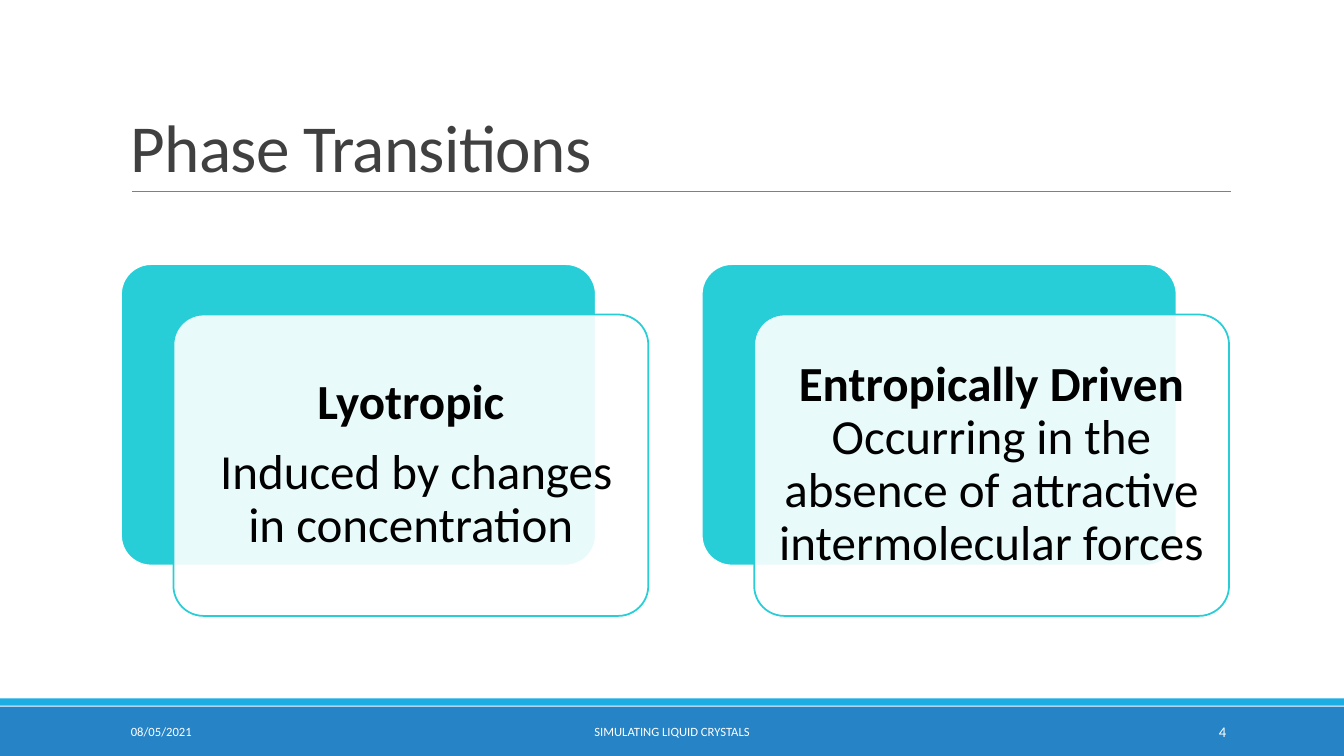
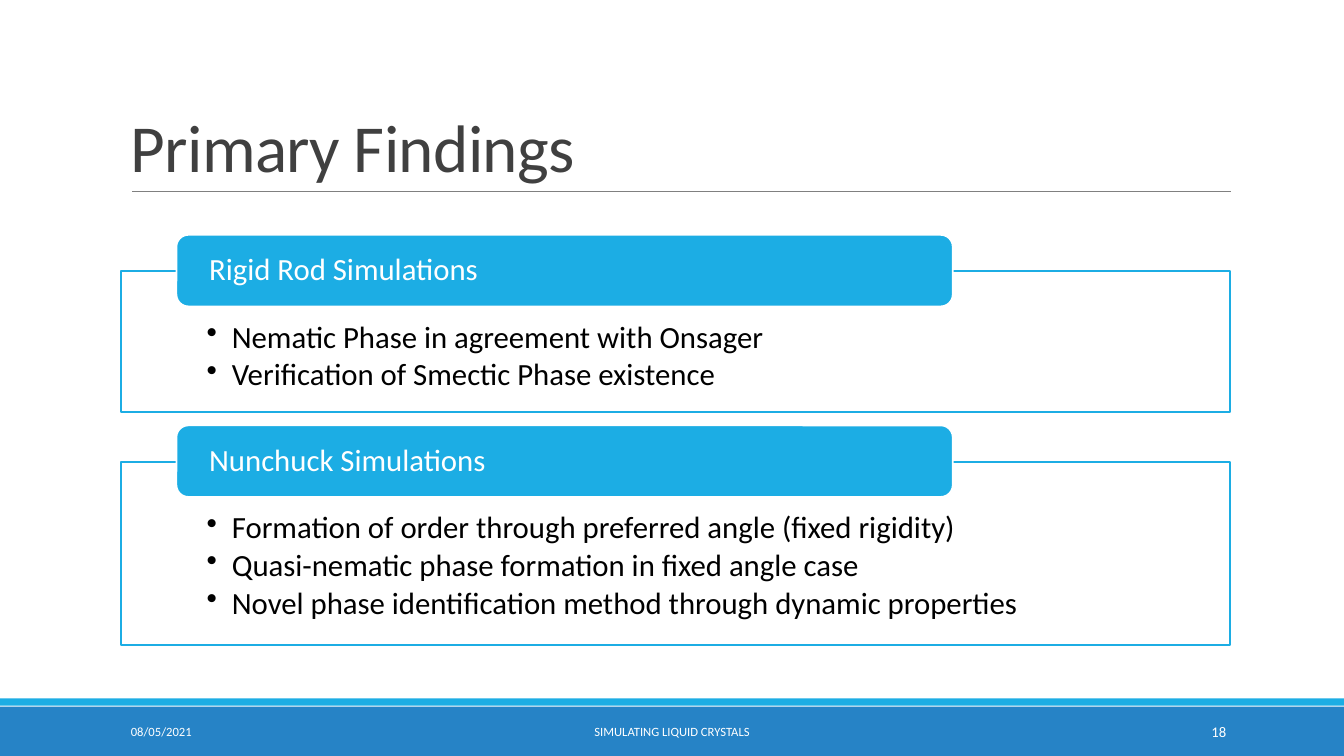
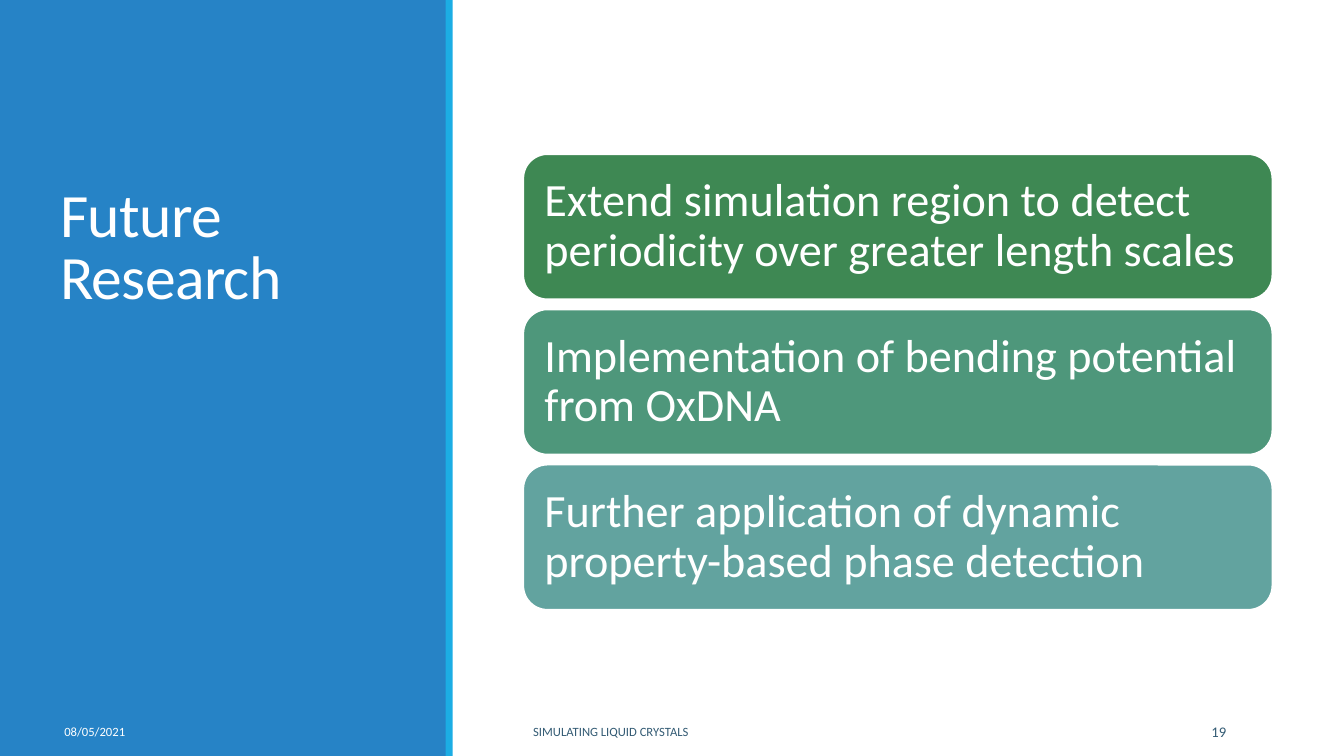
from dataclasses import dataclass

from lxml import etree
from pptx import Presentation
from pptx.dml.color import RGBColor
from pptx.enum import shapes, text
from pptx.oxml import ns
from pptx.util import Inches, Pt

# Shared look
FONT = "Calibri"
WHITE, BLACK, GRAY, DARK = "FFFFFF", "000000", "808080", "404040"
BLUE, SKY, TEAL, NAVY = "2683C6", "1CADE4", "27CED7", "335B74"
WIDTH, HEIGHT = 13.33, 7.5
DATE, FOOTER = "08/05/2021", "SIMULATING LIQUID CRYSTALS"
RECT = shapes.MSO_SHAPE.RECTANGLE
ROUND = shapes.MSO_SHAPE.ROUNDED_RECTANGLE
LEFT, CENTER, RIGHT = text.PP_ALIGN.LEFT, text.PP_ALIGN.CENTER, text.PP_ALIGN.RIGHT
TOP, MIDDLE, BOTTOM = text.MSO_ANCHOR.TOP, text.MSO_ANCHOR.MIDDLE, text.MSO_ANCHOR.BOTTOM


@dataclass
class Run:
    text: str
    bold: bool = False


@dataclass
class Card:
    paragraphs: list[list[Run]]


@dataclass
class Finding:
    heading: str
    points: list[str]
    height: float


@dataclass
class Goal:
    text: str
    color: str


@dataclass
class FooterField:
    text: str
    left: float
    width: float
    color: str = WHITE
    align: int = LEFT
    size: float = 9


def rgb(color: str) -> RGBColor:
    return RGBColor.from_string(color)


def write(sp, paragraphs, *, size, color, align=LEFT, anchor=MIDDLE, spacing=1.0,
          after=0.0, insets=(0.1, 0.05, 0.1, 0.05), tracking=0, bullet="") -> None:
    """Fill a shape with paragraphs, each a plain string or a list of runs."""
    tf = sp.text_frame
    tf.word_wrap = True
    tf.vertical_anchor = anchor
    tf.margin_left, tf.margin_top, tf.margin_right, tf.margin_bottom = map(Inches, insets)
    for i, content in enumerate(paragraphs):
        p = tf.add_paragraph() if i else tf.paragraphs[0]
        p.alignment, p.line_spacing, p.space_after = align, spacing, Pt(after)
        if bullet:
            pPr = p._p.get_or_add_pPr()
            pPr.set("marL", str(Inches(0.25)))
            pPr.set("indent", str(Inches(-0.25)))
            etree.SubElement(pPr, ns.qn("a:buChar")).set("char", bullet)
        for run in [Run(content)] if isinstance(content, str) else content:
            r = p.add_run()
            r.text = run.text
            r.font.name, r.font.size, r.font.bold = FONT, Pt(size), run.bold
            r.font.color.rgb = rgb(color)
            if tracking:
                r._r.get_or_add_rPr().set("spc", str(tracking))


def add_box(slide, kind, left, top, width, height, fill, line="", alpha=100, radius=None):
    sp = slide.shapes.add_shape(kind, *map(Inches, (left, top, width, height)))
    sp.shadow.inherit = False
    sp.fill.solid()
    sp.fill.fore_color.rgb = rgb(fill)
    if alpha < 100:
        clr = sp.fill._xPr.find(".//" + ns.qn("a:srgbClr"))
        etree.SubElement(clr, ns.qn("a:alpha")).set("val", str(alpha * 1000))
    if line:
        sp.line.color.rgb = rgb(line)
        sp.line.width = Pt(1.25)
    else:
        sp.line.fill.background()
    if radius is not None:
        sp.adjustments[0] = radius
    return sp


def add_text(slide, content, left, top, width, height, **fmt) -> None:
    sp = slide.shapes.add_textbox(*map(Inches, (left, top, width, height)))
    write(sp, [content], **fmt)


def add_title(slide, title, left, top, width, height, size, color) -> None:
    add_text(slide, title, left, top, width, height, size=size, color=color,
             anchor=BOTTOM, spacing=0.85, tracking=-50)


def add_footer(slide, fields: list[FooterField]) -> None:
    for f in fields:
        add_text(slide, f.text, f.left, 7.06, f.width, 0.4, size=f.size,
                 color=f.color, align=f.align, after=6)


def add_content_slide(prs, title: str, number: int):
    """Slide with a ruled title, bottom bands and a footer."""
    slide = prs.slides.add_slide(prs.slide_layouts[6])
    add_box(slide, RECT, 0, 7.01, WIDTH, 0.49, BLUE)
    add_box(slide, RECT, 0, 6.93, WIDTH, 0.07, SKY)
    rule = slide.shapes.add_connector(
        shapes.MSO_CONNECTOR.STRAIGHT, *map(Inches, (1.31, 1.9, 12.21, 1.9)))
    rule.line.color.rgb = rgb(GRAY)
    rule.line.width = Pt(0.5)
    etree.SubElement(rule._element.spPr, ns.qn("a:effectLst"))
    add_title(slide, title, 1.2, 0.31, 11, 1.59, 48, DARK)
    add_footer(slide, [
        FooterField(DATE, 1.2, 2.7),
        FooterField(FOOTER, 4.03, 5.27, align=CENTER),
        FooterField(str(number), 10.83, 1.43, align=RIGHT, size=10.5),
    ])
    return slide


# Slide: two overlapping card pairs
def phase_transitions(prs) -> None:
    slide = add_content_slide(prs, "Phase Transitions", 4)
    cards = [
        Card([[Run("Lyotropic", True)], [Run(" Induced by changes in concentration")]]),
        Card([[Run("Entropically Driven", True),
               Run(" Occurring in the absence of attractive intermolecular forces")]]),
    ]
    width, height, pitch = 4.71, 2.99, 5.76
    for i, card in enumerate(cards):
        left, top = 1.2 + i * pitch, 2.62
        add_box(slide, ROUND, left, top, width, height, TEAL, WHITE, radius=0.1)
        front = add_box(slide, ROUND, left + 0.52, top + 0.5, width, height, WHITE, TEAL,
                        alpha=90, radius=0.1)
        write(front, card.paragraphs, size=35, color=BLACK, align=CENTER, spacing=0.9,
              after=12.25, insets=(0.15,) * 4)


# Slide: framed bullet lists with heading tabs
def primary_findings(prs) -> None:
    slide = add_content_slide(prs, "Primary Findings", 18)
    findings = [
        Finding("Rigid Rod Simulations",
                ["Nematic Phase in agreement with Onsager",
                 "Verification of Smectic Phase existence"], 1.4),
        Finding("Nunchuck Simulations",
                ["Formation of order through preferred angle (fixed rigidity)",
                 "Quasi-nematic phase formation in fixed angle case",
                 "Novel phase identification method through dynamic properties"], 1.82),
    ]
    top, overlap, gap = 2.33, 0.36, 0.13
    for f in findings:
        frame = add_box(slide, RECT, 1.2, top + overlap, 11, f.height, WHITE, SKY, alpha=90)
        write(frame, f.points, size=22, color=BLACK, anchor=TOP, spacing=0.9, after=3.3,
              insets=(0.85, 0.5, 0.85, 0.17), bullet="•")
        tab = add_box(slide, ROUND, 1.75, top, 7.7, 0.71, SKY, WHITE)
        write(tab, [f.heading], size=22, color=WHITE, spacing=0.9, after=7.7,
              insets=(0.29, 0, 0.29, 0))
        top += overlap + f.height + gap


# Slide: side panel with stacked goals
def future_research(prs) -> None:
    slide = prs.slides.add_slide(prs.slide_layouts[6])
    add_box(slide, RECT, 0, 0, 4.43, HEIGHT, BLUE)
    add_box(slide, RECT, 4.42, 0, 0.07, HEIGHT, SKY)
    add_title(slide, "Future Research", 0.5, 0.65, 3.5, 2.5, 44, WHITE)
    add_footer(slide, [
        FooterField(DATE, 0.54, 1.9),
        FooterField(FOOTER, 5.19, 5.58, NAVY),
        FooterField("19", 11.07, 1.19, NAVY, RIGHT, 10.5),
    ])
    goals = [
        Goal("Extend simulation region to detect periodicity over greater length scales",
             "3E8853"),
        Goal("Implementation of bending potential from OxDNA", "4E977B"),
        Goal("Further application of dynamic property-based phase detection", "62A39F"),
    ]
    height, gap = 1.44, 0.1
    for i, goal in enumerate(goals):
        sp = add_box(slide, ROUND, 5.19, 1.53 + i * (height + gap), 7.43, height,
                     goal.color, WHITE)
        write(sp, [goal.text], size=33, color=WHITE, spacing=0.9, after=11.55,
              insets=(0.14,) * 4)


def main() -> None:
    prs = Presentation()
    prs.slide_width, prs.slide_height = Inches(WIDTH), Inches(HEIGHT)
    phase_transitions(prs)
    primary_findings(prs)
    future_research(prs)
    prs.save("out.pptx")


if __name__ == "__main__":
    main()
